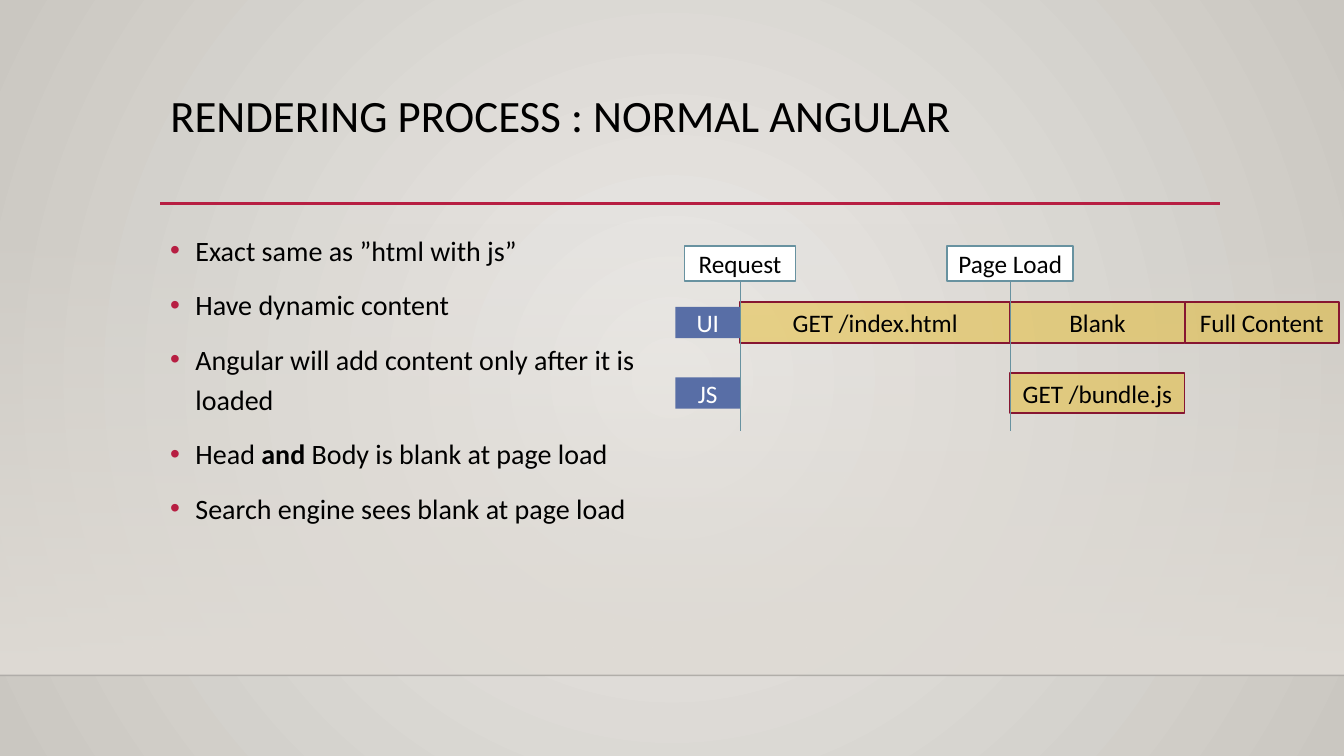
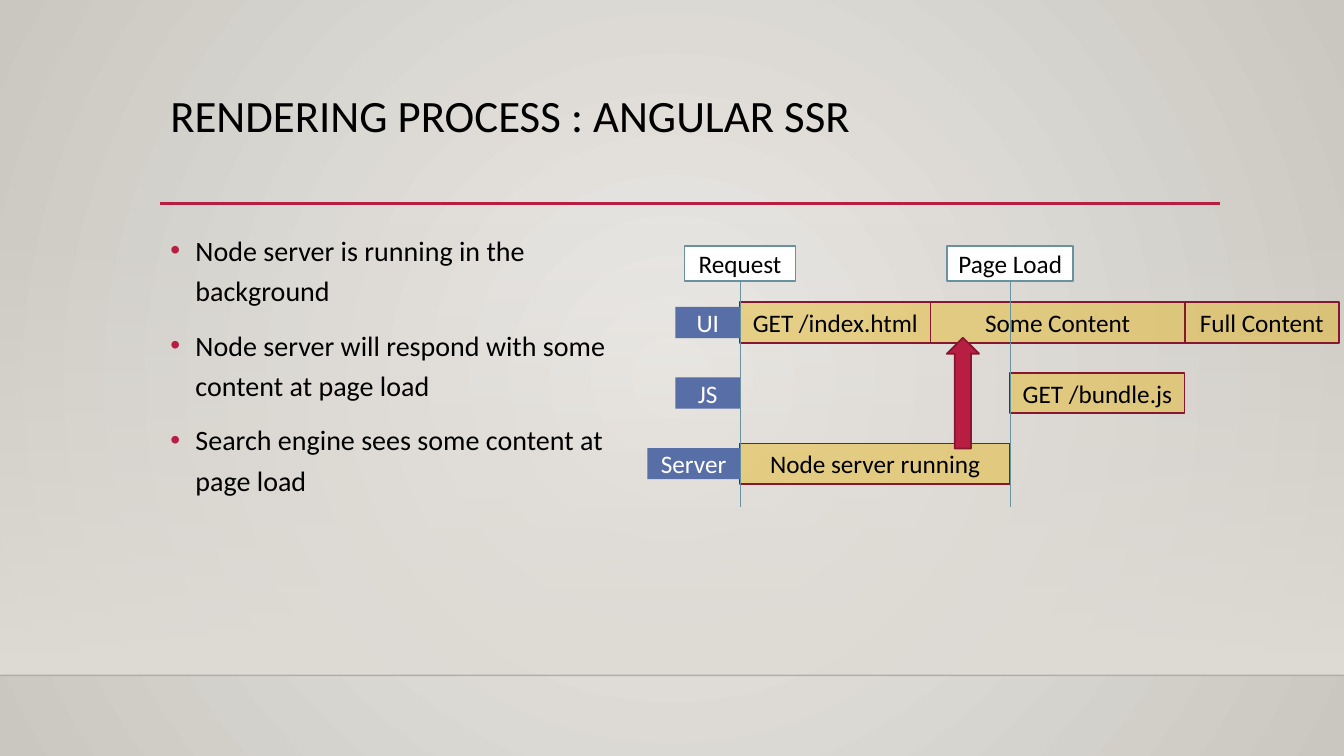
"""Build two slides on how Angular pages are rendered."""
from dataclasses import dataclass

from lxml.etree import SubElement
from pptx import Presentation
from pptx.dml.color import RGBColor
from pptx.enum.shapes import MSO_CONNECTOR, MSO_SHAPE
from pptx.enum.text import MSO_ANCHOR, PP_ALIGN
from pptx.oxml.ns import qn
from pptx.util import Inches, Pt

COLORS = {
    "center": "ECEAE7", "edge": "CAC7C1", "band": "DFDBD5", "floor": "000001",
    "accent": "B71E42", "accent_dark": "871631", "text": "000000", "white": "FFFFFF",
    "bar": "E7B200", "marker": "6892A0", "tag": "586EA6",
}
FONT = "Calibri"
WIDTH, HEIGHT = 13.33, 7.5
LEFT, CONTENT_WIDTH = 1.59, 10.51
BAND_TOP, FLOOR, RULE = 2.21, 6.7, 2.02
REQUEST, PAGE_LOAD, BUNDLE_LOADED, END = 7.34, 10.02, 11.75, 13.28
FIRST_ROW, ROW_PITCH = 3.2, 0.7
BAR_HEIGHT, TAG_HEIGHT = 0.4, 0.31
MARKER_TOP, MARKER_HEIGHT = 2.44, 0.35


@dataclass(frozen=True)
class Bar:
    """A timed step in one row of the timeline."""
    text: str
    row: int
    start: float
    end: float


@dataclass(frozen=True)
class Tag:
    """The name at the left of a timeline row."""
    text: str
    width: float = 0.64


@dataclass(frozen=True)
class Marker:
    """A labelled moment on the timeline."""
    text: str
    moment: float
    width: float


@dataclass(frozen=True)
class Page:
    """The content of one slide."""
    title: str
    bullets: tuple[str, ...]
    bullets_width: float
    bars: tuple[Bar, ...]
    tags: tuple[Tag, ...]
    marker_end: float
    server_arrow: bool = False


MARKERS = (Marker("Request", REQUEST, 1.1), Marker("Page Load", PAGE_LOAD, 1.25))
SHARED_BARS = (
    Bar("GET /bundle.js", 1, PAGE_LOAD, BUNDLE_LOADED),
    Bar("Full Content", 0, BUNDLE_LOADED, END),
)
SHARED_TAGS = (Tag("UI"), Tag("JS"))
RESPONSE = 9.23
PAGES = (
    Page(
        "RENDERING PROCESS : NORMAL ANGULAR",
        (
            "Exact same as ”html with js”",
            "Have dynamic content",
            "Angular will add content only after it is loaded",
            "Head *and* Body is blank at page load",
            "Search engine sees blank at page load",
        ),
        5.24,
        (
            Bar("GET /index.html", 0, REQUEST, PAGE_LOAD),
            Bar("Blank", 0, PAGE_LOAD, BUNDLE_LOADED),
            *SHARED_BARS,
        ),
        SHARED_TAGS,
        4.28,
    ),
    Page(
        "RENDERING PROCESS : ANGULAR SSR",
        (
            "Node server is running in the background",
            "Node server will respond with some content at page load",
            "Search engine sees some content at page load",
        ),
        5.05,
        (
            Bar("GET /index.html", 0, REQUEST, RESPONSE),
            Bar("Some Content", 0, RESPONSE, BUNDLE_LOADED),
            *SHARED_BARS,
            Bar("Node server running", 2, REQUEST, PAGE_LOAD),
        ),
        (*SHARED_TAGS, Tag("Server", 0.92)),
        5.03,
        True,
    ),
)


def rgb(name: str) -> RGBColor:
    """Return a named colour."""
    return RGBColor.from_string(COLORS[name])


def set_opacity(shape, percent: int) -> None:
    """Set the opacity of the first colour of a shape."""
    color = next(shape._element.spPr.iter(qn("a:srgbClr")))
    SubElement(color, qn("a:alpha"), val=str(percent * 1000))


def set_gradient(fill, start: str, end: str) -> None:
    """Give a fill a vertical gradient between two named colours."""
    fill.gradient()
    fill.gradient_angle = 270
    for stop, name in zip(fill.gradient_stops, (start, end)):
        stop.color.rgb = rgb(name)


def add_bullet(paragraph) -> None:
    """Give a paragraph a coloured bullet and a hanging indent."""
    properties = paragraph._p.get_or_add_pPr()
    properties.set("marL", str(Inches(0.25)))
    properties.set("indent", str(-Inches(0.25)))
    color = SubElement(properties, qn("a:buClr"))
    SubElement(color, qn("a:srgbClr"), val=COLORS["accent"])
    SubElement(properties, qn("a:buFont"), typeface="Arial")
    SubElement(properties, qn("a:buChar"), char="•")


def write(shape, *lines: str, size: int = 18, color: str = "text",
          align: PP_ALIGN = PP_ALIGN.LEFT, anchor: MSO_ANCHOR = MSO_ANCHOR.TOP,
          spacing: float = 1.0, before: int = 0, bullets: bool = False,
          wrap: bool = True) -> None:
    """Write one paragraph per line, with words between asterisks in bold."""
    frame = shape.text_frame
    frame.word_wrap = wrap
    frame.vertical_anchor = anchor
    for index, line in enumerate(lines):
        paragraph = frame.add_paragraph() if index else frame.paragraphs[0]
        paragraph.alignment = align
        paragraph.line_spacing = spacing
        paragraph.space_before = Pt(before if index else 0)
        if bullets:
            add_bullet(paragraph)
        for part, text in enumerate(line.split("*")):
            run = paragraph.add_run()
            run.text = text
            run.font.name = FONT
            run.font.size = Pt(size)
            run.font.bold = part % 2 == 1
            run.font.color.rgb = rgb(color)


def add_text(slide, left: float, top: float, width: float, height: float,
             *lines: str, **text_format) -> None:
    """Add a text box."""
    box = slide.shapes.add_textbox(*map(Inches, (left, top, width, height)))
    write(box, *lines, **text_format)


def add_block(slide, left: float, top: float, width: float, height: float,
              fill: str, outline: str | None = None, text: str = "",
              color: str = "text", opacity: int = 100,
              kind: MSO_SHAPE = MSO_SHAPE.RECTANGLE):
    """Add a filled shape with an optional outline and centred text."""
    shape = slide.shapes.add_shape(kind, *map(Inches, (left, top, width, height)))
    shape.shadow.inherit = False
    shape.fill.solid()
    shape.fill.fore_color.rgb = rgb(fill)
    if opacity < 100:
        set_opacity(shape, opacity)
    if outline:
        shape.line.color.rgb = rgb(outline)
        shape.line.width = Pt(1.25)
    else:
        shape.line.fill.background()
    if text:
        write(shape, text, color=color, align=PP_ALIGN.CENTER,
              anchor=MSO_ANCHOR.MIDDLE, wrap=False)
    return shape


def add_line(slide, start: tuple[float, float], end: tuple[float, float],
             color: str, weight: float):
    """Add a straight line without a shadow."""
    line = slide.shapes.add_connector(
        MSO_CONNECTOR.STRAIGHT, *map(Inches, (*start, *end)))
    line.line.color.rgb = rgb(color)
    line.line.width = Pt(weight)
    SubElement(line._element.spPr, qn("a:effectLst"))
    return line


def row_center(row: int) -> float:
    """Return the middle of a timeline row."""
    return FIRST_ROW + row * ROW_PITCH


def add_backdrop(slide) -> None:
    """Draw the background, band and rules that all slides share."""
    set_gradient(slide.background.fill, "center", "edge")
    linear = next(slide.background._cSld.iter(qn("a:lin")))
    gradient = linear.getparent()
    gradient.remove(linear)
    radial = SubElement(gradient, qn("a:path"), path="circle")
    SubElement(radial, qn("a:fillToRect"), dict.fromkeys("ltrb", "50000"))
    band = add_block(slide, 0, BAND_TOP, WIDTH, FLOOR - BAND_TOP, "band")
    set_gradient(band.fill, "band", "band")
    set_opacity(band, 0)
    set_opacity(add_line(slide, (0, FLOOR), (WIDTH, FLOOR), "floor", 1), 20)
    add_line(slide, (LEFT, RULE), (LEFT + CONTENT_WIDTH, RULE), "accent", 2.5)


def add_timeline(slide, page: Page) -> None:
    """Draw the bars, markers, row names and arrow of a page."""
    for bar in page.bars:
        add_block(slide, bar.start, row_center(bar.row) - BAR_HEIGHT / 2,
                  bar.end - bar.start, BAR_HEIGHT, "bar", "accent_dark",
                  bar.text, opacity=40)
    for marker in MARKERS:
        add_block(slide, marker.moment - marker.width / 2, MARKER_TOP,
                  marker.width, MARKER_HEIGHT, "white", "marker", marker.text)
        add_line(slide, (marker.moment, MARKER_TOP + MARKER_HEIGHT),
                 (marker.moment, page.marker_end), "marker", 0.75)
    for row, tag in enumerate(page.tags):
        add_block(slide, REQUEST - tag.width, row_center(row) - TAG_HEIGHT / 2,
                  tag.width, TAG_HEIGHT, "tag", text=tag.text, color="white")
    if page.server_arrow:
        add_block(slide, 9.39, 3.35, 0.32, 1.1, "accent", "accent_dark",
                  kind=MSO_SHAPE.UP_ARROW)


def add_page(presentation, page: Page) -> None:
    """Add one slide."""
    slide = presentation.slides.add_slide(presentation.slide_layouts[6])
    add_backdrop(slide)
    add_text(slide, LEFT, 0.88, CONTENT_WIDTH, 1.15, page.title, size=32, spacing=0.9)
    add_text(slide, LEFT, 2.2, page.bullets_width, 3.77, *page.bullets,
             size=20, spacing=1.2, before=10, bullets=True)
    add_timeline(slide, page)


def main() -> None:
    """Build and save the presentation."""
    presentation = Presentation()
    presentation.slide_width = Inches(WIDTH)
    presentation.slide_height = Inches(HEIGHT)
    for page in PAGES:
        add_page(presentation, page)
    presentation.save("out.pptx")


if __name__ == "__main__":
    main()
